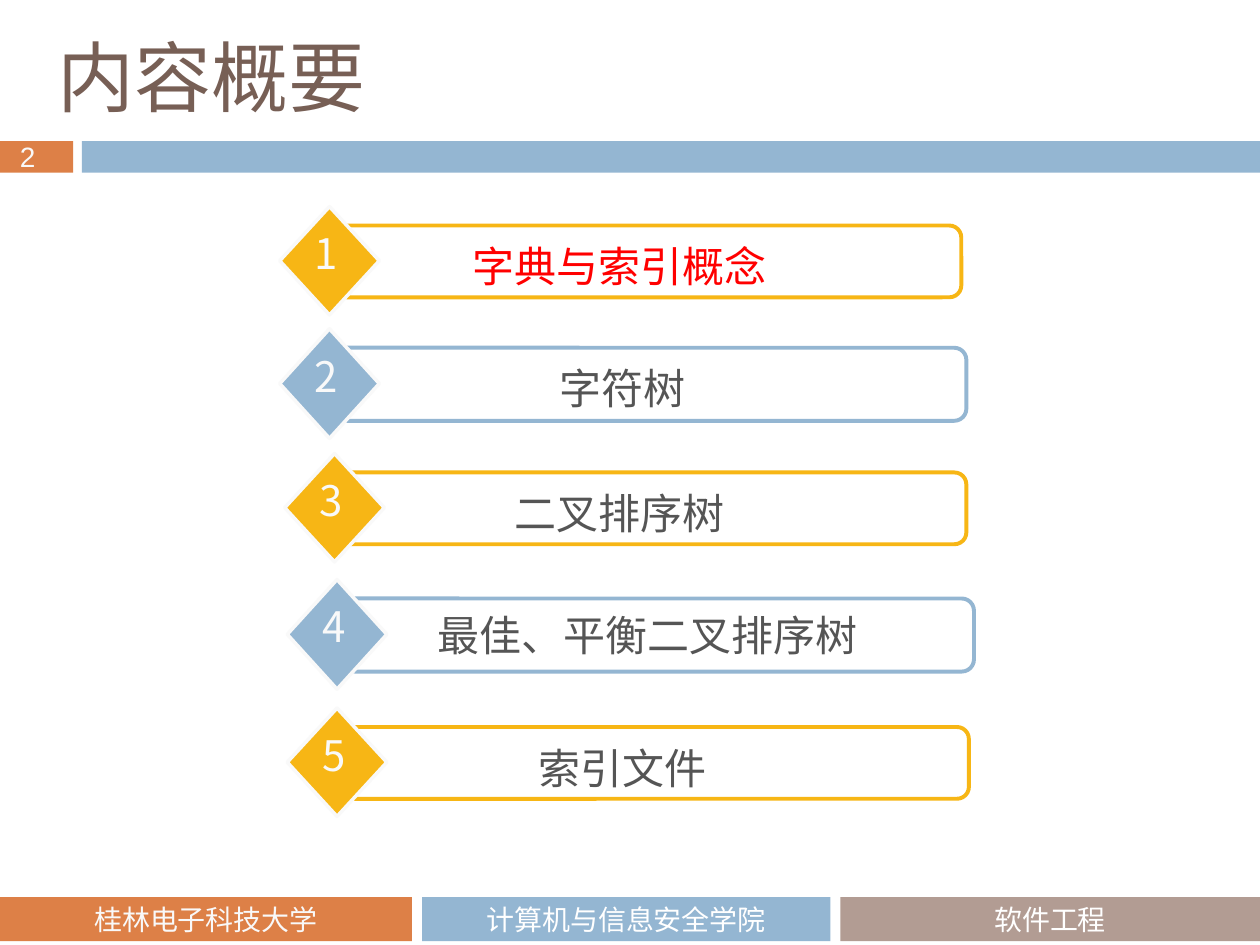
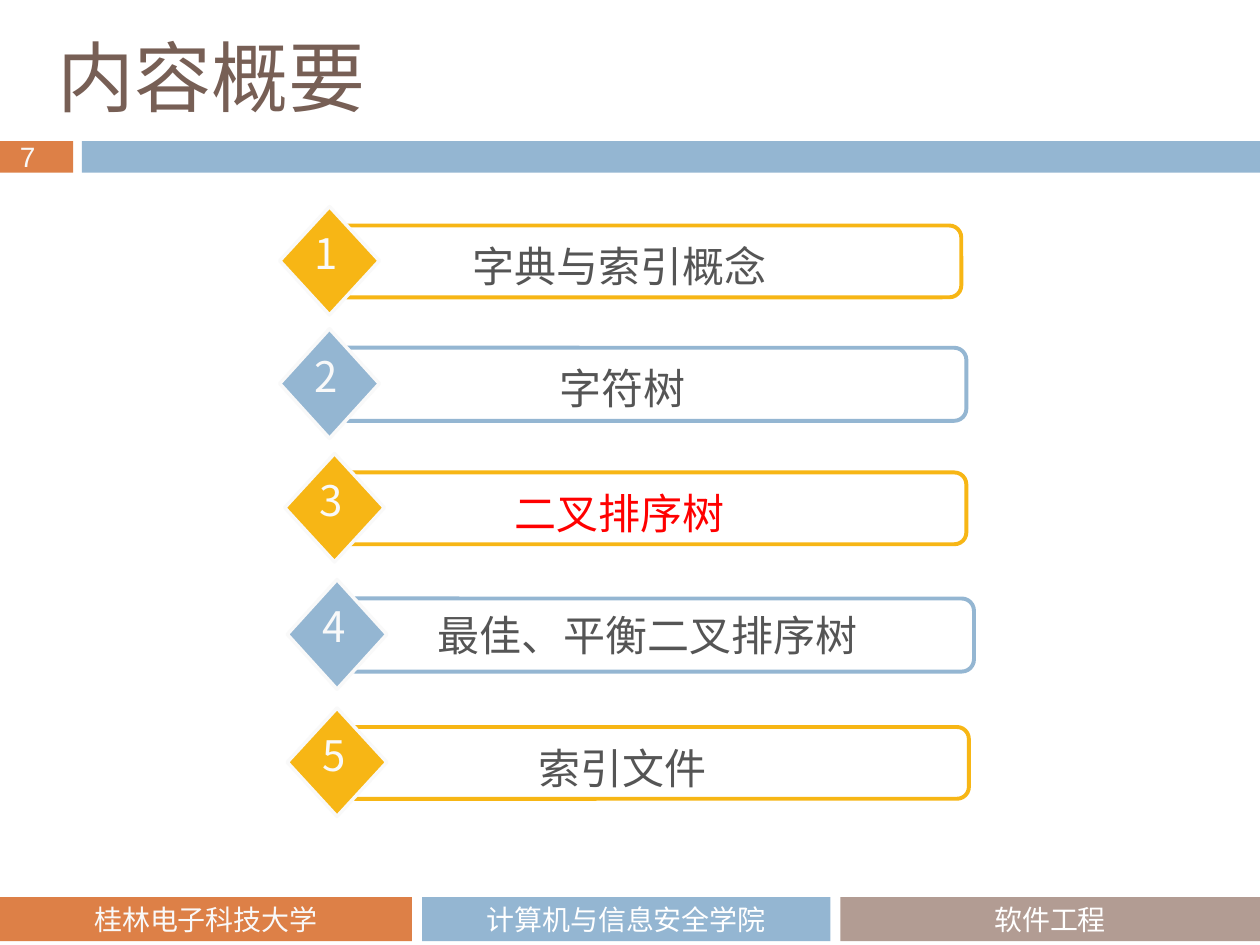
"""Builds two agenda slides, each highlighting the section that comes next."""
from lxml import etree
from pptx import Presentation
from pptx.dml.color import RGBColor
from pptx.enum.shapes import MSO_SHAPE
from pptx.enum.text import MSO_ANCHOR, PP_ALIGN
from pptx.oxml.ns import qn
from pptx.util import Inches, Pt

RECT, ROUNDED, DIAMOND = MSO_SHAPE.RECTANGLE, MSO_SHAPE.ROUNDED_RECTANGLE, MSO_SHAPE.DIAMOND
LEFT, CENTER = PP_ALIGN.LEFT, PP_ALIGN.CENTER
TOP, MIDDLE = MSO_ANCHOR.TOP, MSO_ANCHOR.MIDDLE

WIDTH, HEIGHT = 10, 7.5
ORANGE, BLUE, TAUPE, GOLD = "DD8047", "94B6D2", "B29C93", "F7B615"
BROWN, GREY, RED, WHITE, PALE = "775F55", "555555", "FF0000", "FFFFFF", "F9F9F9"
TITLE_FONT, AGENDA_FONT = "Noto Sans CJK JP", "Noto Sans CJK SC"
FOOTER_FONT, NUMBER_FONT = "Calibri", "Arial"

TITLE = "内容概要"
SLIDES = [{"number": 2, "current": 1}, {"number": 7, "current": 3}]
FOOTERS = [
    ("桂林电子科技大学", 0, 3.27, ORANGE, PALE),
    ("计算机与信息安全学院", 3.35, 3.24, BLUE, WHITE),
    ("软件工程", 6.67, 3.33, TAUPE, WHITE),
]
# Section, diamond left and top, label centre, label drop below the bar's top
SECTIONS = [
    ("字典与索引概念", 2.22, 1.64, 4.92, 0.07),
    ("字符树", 2.22, 2.61, 4.94, 0.07),
    ("二叉排序树", 2.26, 3.60, 4.92, 0.07),
    ("最佳、平衡二叉排序树", 2.28, 4.60, 5.14, 0.04),
    ("索引文件", 2.28, 5.62, 4.94, 0.07),
]
STYLES = [(GOLD, 4.97, 0.57), (BLUE, 5.01, 0.58)]
DIAMOND_WIDTH, DIAMOND_RISE = 0.79, 0.15
BAR_INDENT, LABEL_WIDTH, LABEL_HEIGHT = 0.44, 3.95, 0.5


def color(hex_code):
    return RGBColor.from_string(hex_code)


def write(box, text, size, font, ink, align=CENTER, anchor=TOP, wrap=True):
    frame = box.text_frame
    frame.text = text
    frame.word_wrap = wrap
    frame.vertical_anchor = anchor
    paragraph = frame.paragraphs[0]
    paragraph.alignment = align
    run = paragraph.runs[0]
    run.font.size = Pt(size)
    run.font.name = font
    run.font.color.rgb = color(ink)
    etree.SubElement(run.font._element, qn("a:ea")).set("typeface", font)


def add_text(slide, place, text, *style, **layout):
    write(slide.shapes.add_textbox(*map(Inches, place)), text, *style, **layout)


def add_block(slide, kind, place, fill=None, line=None, line_width=0):
    block = slide.shapes.add_shape(kind, *map(Inches, place))
    block.shadow.inherit = False
    if fill:
        block.fill.solid()
        block.fill.fore_color.rgb = color(fill)
    else:
        block.fill.background()
    if line:
        block.line.color.rgb = color(line)
        block.line.width = Pt(line_width)
    else:
        block.line.fill.background()
    return block


def add_frame(slide, number):
    add_block(slide, RECT, (0, 1.12, 0.58, 0.25), ORANGE)
    add_block(slide, RECT, (0.65, 1.12, WIDTH - 0.65, 0.25), BLUE)
    for text, left, width, fill, ink in FOOTERS:
        footer = add_block(slide, RECT, (left, 7.12, width, 0.35), fill)
        write(footer, text, 16, FOOTER_FONT, ink, anchor=MIDDLE)
    add_text(slide, (0.06, 1.06, 0.48, 0.37), str(number), 16, NUMBER_FONT, PALE, align=LEFT)
    add_text(slide, (0.36, 0.27, 5.67, 0.66), TITLE, 44, TITLE_FONT, BROWN,
             align=LEFT, anchor=MIDDLE)


def add_agenda(slide, current):
    for order, (section, left, top, centre, drop) in enumerate(SECTIONS, 1):
        accent, bar_width, bar_height = STYLES[(order - 1) % 2]
        bar_top = top + DIAMOND_RISE
        add_block(slide, ROUNDED, (left + BAR_INDENT, bar_top, bar_width, bar_height),
                  line=accent, line_width=2.25)
        add_block(slide, DIAMOND, (left, top, DIAMOND_WIDTH, bar_height + 2 * DIAMOND_RISE - 0.01),
                  accent, PALE, 2)
        add_text(slide, (centre - LABEL_WIDTH / 2, bar_top + drop, LABEL_WIDTH, LABEL_HEIGHT),
                 section, 24, AGENDA_FONT, RED if order == current else GREY)
        add_text(slide, (left + 0.18, top + 0.12, 0.37, LABEL_HEIGHT),
                 str(order), 24, AGENDA_FONT, PALE, wrap=False)


def main():
    deck = Presentation()
    deck.slide_width, deck.slide_height = Inches(WIDTH), Inches(HEIGHT)
    for page in SLIDES:
        slide = deck.slides.add_slide(deck.slide_layouts[6])
        add_frame(slide, page["number"])
        add_agenda(slide, page["current"])
    deck.save("out.pptx")


if __name__ == "__main__":
    main()
